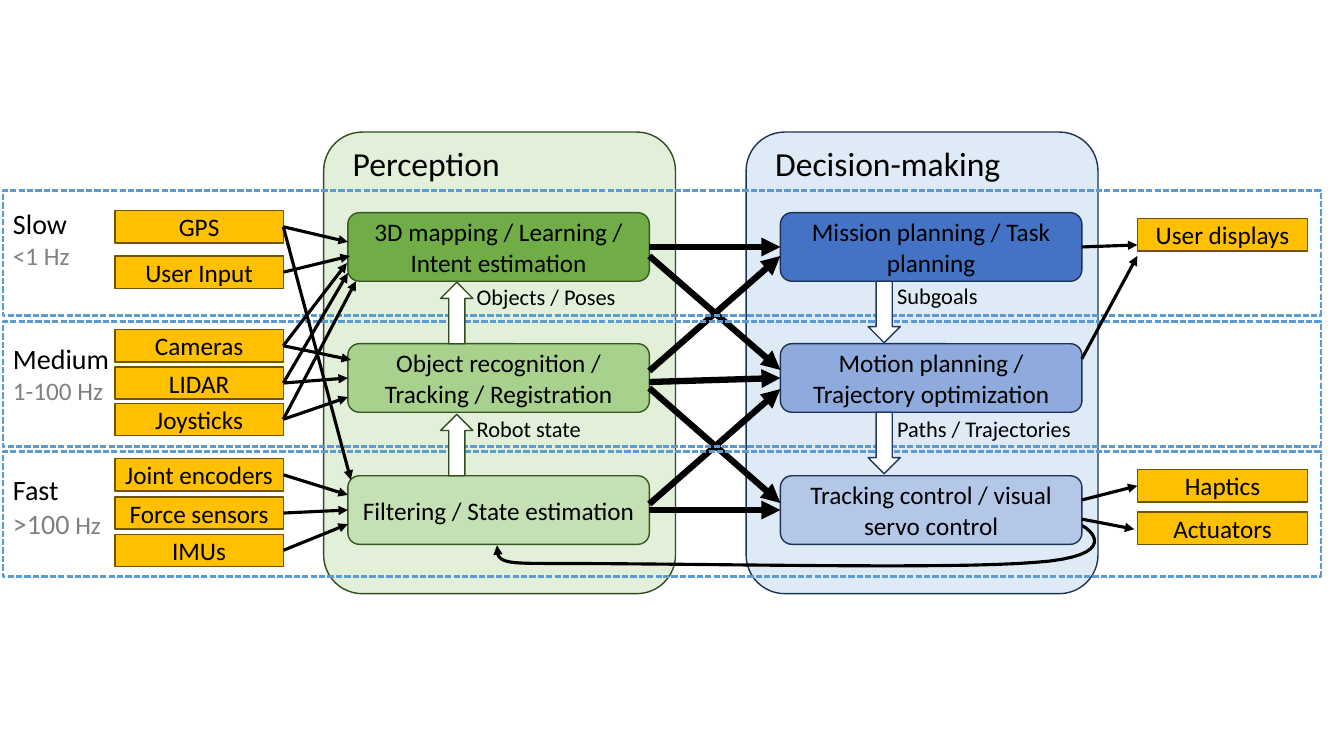
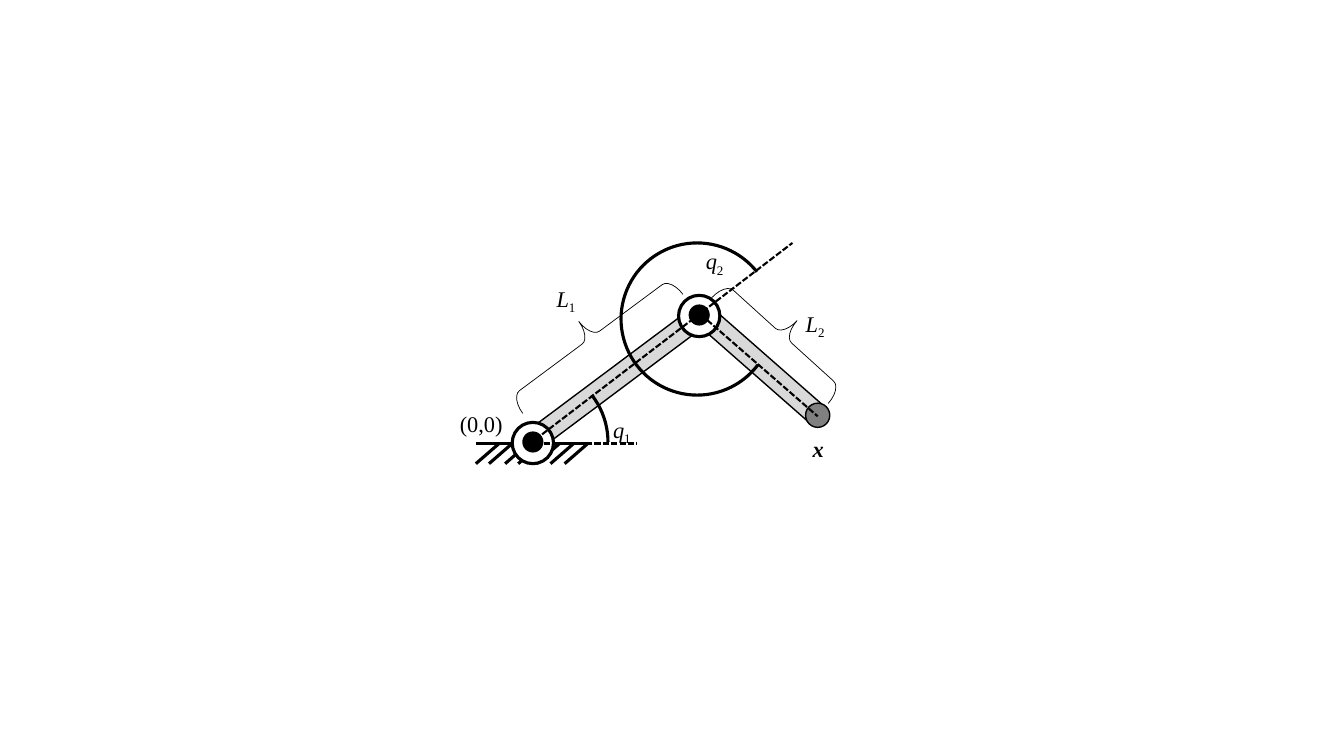
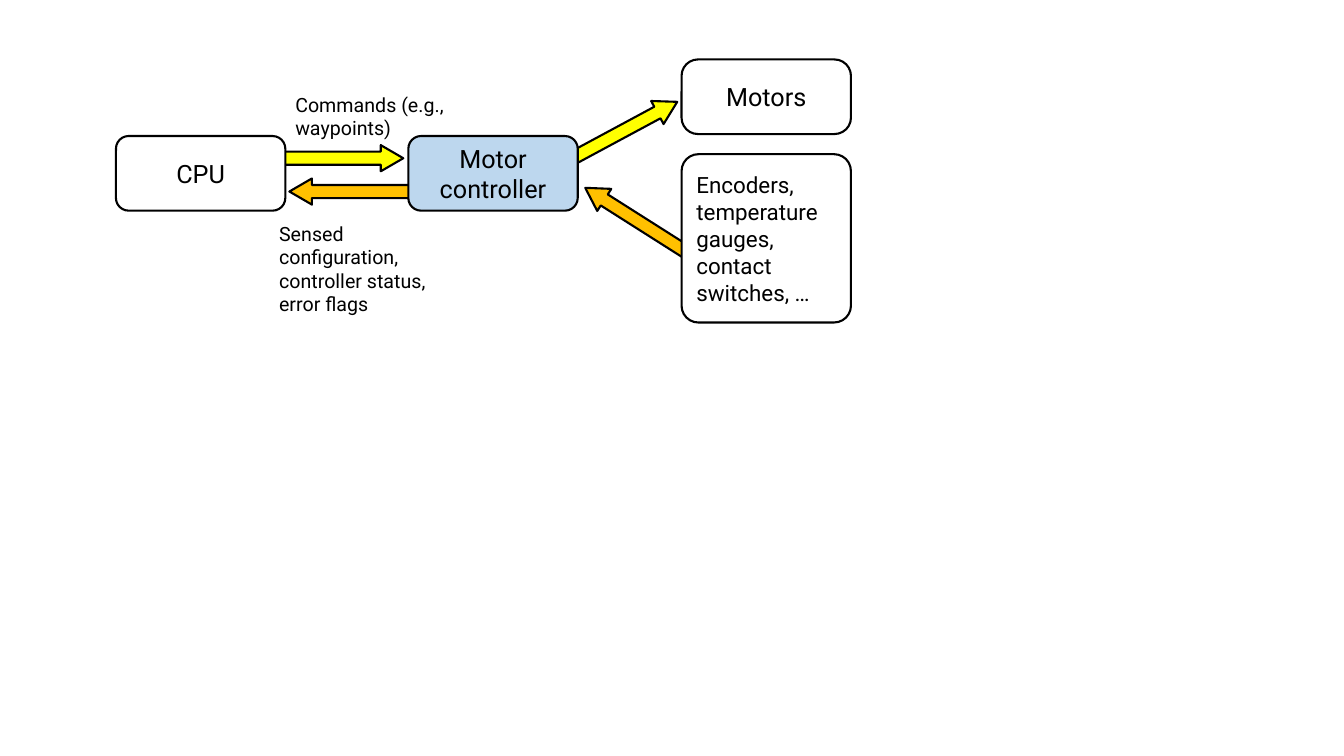
"""Build three robotics diagrams: system architecture, two-link arm and motor control."""
import dataclasses

import pptx
import pptx.dml.color
import pptx.enum.dml
import pptx.enum.shapes
import pptx.enum.text
import pptx.oxml
import pptx.oxml.ns
import pptx.util

Inches = pptx.util.Inches
Shape = pptx.enum.shapes.MSO_SHAPE
Align = pptx.enum.text.PP_ALIGN
Anchor = pptx.enum.text.MSO_ANCHOR
TOP, LEFT, BOTTOM, RIGHT = range(4)


@dataclasses.dataclass(frozen=True)
class Theme:
    black: str = "000000"
    white: str = "FFFFFF"
    grey: str = "808080"
    arm: str = "D9D9D9"
    green_panel: str = "E2F0D9"
    green_edge: str = "314C1F"
    green_box_edge: str = "385723"
    greens: tuple = ("70AD47", "A9D18E", "C5E0B4")
    blue_panel: str = "DEEBF7"
    blue_edge: str = "1E3256"
    blue_arrow_edge: str = "203864"
    blues: tuple = ("4472C4", "8FAADC", "B4C7E7")
    band: str = "5B9BD5"
    device: str = "FFC000"
    device_edge: str = "705400"
    command: str = "FFFF00"
    controller: str = "BDD7EE"
    heading: int = 24
    rate: int = 20
    body: int = 18
    note: int = 16
    caption: int = 14
    sans: str = "Calibri"
    serif: str = "Times New Roman"
    control: str = "Roboto"


THEME = Theme()


def rgb(code):
    """Turn a hex code into a colour."""
    return pptx.dml.color.RGBColor.from_string(code)


def stroke(line, colour=THEME.black, width=1, dashed=False):
    """Set the colour, width and dash of a line."""
    line.color.rgb = rgb(colour)
    line.width = pptx.util.Pt(width)
    if dashed:
        line.dash_style = pptx.enum.dml.MSO_LINE.SQUARE_DOT


def add_arrowhead(item):
    """Put a triangle at the end of a line."""
    tail = pptx.oxml.parse_xml(
        f'<a:tailEnd {pptx.oxml.ns.nsdecls("a")} type="triangle"/>')
    item.line._get_or_add_ln().append(tail)


def set_font(font, size, name, colour=THEME.black):
    """Set the size, face and colour of a font."""
    font.size = pptx.util.Pt(size)
    font.name = name
    font.color.rgb = rgb(colour)


def add_box(page, kind, at, fill=None, edge=THEME.black, width=1,
            dashed=False, turn=0, adjust=()):
    """Add a preset shape with plain fill and line."""
    box = page.shapes.add_shape(kind, *map(Inches, at))
    box.shadow.inherit = False
    box.rotation = turn
    for index, value in enumerate(adjust):
        box.adjustments[index] = value
    if fill:
        box.fill.solid()
        box.fill.fore_color.rgb = rgb(fill)
    else:
        box.fill.background()
    if edge:
        stroke(box.line, edge, width, dashed)
    else:
        box.line.fill.background()
    return box


def write(box, text, size=THEME.body, name=THEME.sans, align=Align.CENTER):
    """Write one middle-anchored paragraph in a shape."""
    frame = box.text_frame
    frame.word_wrap = True
    frame.vertical_anchor = Anchor.MIDDLE
    para = frame.paragraphs[0]
    para.text = text
    para.alignment = align
    set_font(para.font, size, name)


def add_text(page, at, text="", size=THEME.note, name=THEME.sans):
    """Add a wrapping text box and return its frame."""
    frame = page.shapes.add_textbox(*map(Inches, at)).text_frame
    frame.word_wrap = True
    para = frame.paragraphs[0]
    para.text = text
    set_font(para.font, size, name)
    return frame


def add_link(page, start, end, width=2.25, dashed=False, arrow=False):
    """Draw a straight line between points or (shape, side) pairs."""
    ends = [(0, 0) if hasattr(place[0], "shape_id") else place
            for place in (start, end)]
    link = page.shapes.add_connector(
        pptx.enum.shapes.MSO_CONNECTOR.STRAIGHT,
        *(Inches(value) for point in ends for value in point))
    for place, join in ((start, link.begin_connect), (end, link.end_connect)):
        if hasattr(place[0], "shape_id"):
            join(*place)
    stroke(link.line, width=width, dashed=dashed)
    if arrow:
        add_arrowhead(link)
    link._element.spPr.append(pptx.oxml.parse_xml(
        f'<a:effectLst {pptx.oxml.ns.nsdecls("a")}/>'))
    return link


def add_curve(page, start, curves, steps=16):
    """Draw an open run of cubic curves with an arrowhead."""
    points, origin = [], start
    for first, second, final in curves:
        for step in range(1, steps + 1):
            t = step / steps
            weights = ((1 - t) ** 3, 3 * t * (1 - t) ** 2, 3 * t * t * (1 - t), t ** 3)
            corners = (origin, first, second, final)
            points.append(tuple(
                Inches(sum(weight * corner[axis] for weight, corner in zip(weights, corners)))
                for axis in (0, 1)))
        origin = final
    builder = page.shapes.build_freeform(*map(Inches, start))
    builder.add_line_segments(points, close=False)
    curve = builder.convert_to_shape()
    curve.shadow.inherit = False
    curve.fill.background()
    stroke(curve.line, width=2.25)
    add_arrowhead(curve)


def add_stage_column(page, left, fills, edge, texts):
    """Add three stacked stage boxes, one for each rate."""
    boxes = []
    for top, fill, text in zip((2.11, 3.41, 4.72), fills, texts):
        box = add_box(page, Shape.ROUNDED_RECTANGLE, (left, top, 2.99, 0.68), fill, edge)
        write(box, text)
        boxes.append(box)
    return boxes


def add_devices(page, left, width, places):
    """Add a column of device boxes, keyed by their text."""
    devices = {}
    for text, top in places:
        box = add_box(page, Shape.RECTANGLE, (left, top, width, 0.32),
                      THEME.device, THEME.device_edge)
        write(box, text)
        devices[text] = box
    return devices


def add_rate_band(page, top, label_top, rate, spans):
    """Add a dashed rate band and its two-line label."""
    add_box(page, Shape.RECTANGLE, (0.03, top, 13.07, 1.24),
            edge=THEME.band, width=1.5, dashed=True)
    para = add_text(page, (0.03, label_top, 2.08, 0.74)).paragraphs[0]
    span = para.add_run()
    span.text = rate
    set_font(span.font, THEME.rate, THEME.sans)
    para.add_line_break()
    for text, size in spans:
        span = para.add_run()
        span.text = text
        set_font(span.font, size, THEME.sans, THEME.grey)


def build_architecture(page):
    """Draw the perception and decision-making architecture."""
    for left, fill, edge, title in (
            (3.21, THEME.green_panel, THEME.green_edge, "Perception"),
            (7.4, THEME.blue_panel, THEME.blue_edge, "Decision-making")):
        add_box(page, Shape.ROUNDED_RECTANGLE, (left, 1.31, 3.49, 4.58),
                fill, edge, adjust=(0.11,))
        add_text(page, (left + 0.19, 1.37, 2.63, 0.5), title, THEME.heading)

    add_curve(page, (10.7, 5.2), (
        ((10.82, 5.24), (11.14, 5.52), (10.26, 5.58)),
        ((9.38, 5.65), (7.04, 5.59), (5.43, 5.59)),
        ((4.99, 5.59), (4.92, 5.58), (4.93, 5.41))))

    mapping, recognition, filtering = add_stage_column(
        page, 3.45, THEME.greens, THEME.green_box_edge,
        ("3D mapping / Learning / Intent estimation",
         "Object recognition / Tracking / Registration",
         "Filtering / State estimation"))
    mission, motion, tracking = add_stage_column(
        page, 7.74, THEME.blues, THEME.blue_edge,
        ("Mission planning / Task planning",
         "Motion planning / Trajectory optimization",
         "Tracking control / visual servo control"))
    for start, end in (
            ((mapping, RIGHT), (mission, LEFT)),
            ((6.44, 2.54), (7.74, 3.67)),
            ((6.44, 3.79), (motion, LEFT)),
            ((6.44, 5), (7.74, 3.86)),
            ((filtering, RIGHT), (tracking, LEFT)),
            ((6.44, 3.85), (7.74, 4.99)),
            ((6.44, 3.68), (7.74, 2.54))):
        add_link(page, start, end, width=4.5, arrow=True)

    add_rate_band(page, 1.89, 2, "Slow", (("<1 Hz", THEME.body),))
    add_rate_band(page, 3.19, 3.34, "Medium", (("1-100 Hz", THEME.body),))
    add_rate_band(page, 4.48, 4.64, "Fast", ((">100", THEME.rate), (" Hz", THEME.body)))

    for left, top, turn, edge in (
            (8.61, 2.79, 0, THEME.blue_arrow_edge),
            (8.61, 4.09, 0, THEME.blue_arrow_edge),
            (4.37, 2.8, 180, THEME.green_edge),
            (4.37, 4.11, 180, THEME.green_edge)):
        add_box(page, Shape.DOWN_ARROW, (left, top, 0.32, 0.61),
                THEME.white, edge, turn=turn)
    for left, top, text in (
            (8.8, 2.75, "Subgoals"), (8.8, 4.07, "Paths / Trajectories"),
            (4.63, 2.76, "Objects / Poses"), (4.63, 4.07, "Robot state")):
        add_text(page, (left, top, 2.08, 0.37), text)

    outputs = add_devices(page, 11.28, 1.69, (
        ("User displays", 2.17), ("Haptics", 4.66), ("Actuators", 5.08)))
    inputs = add_devices(page, 1.14, 1.67, (
        ("GPS", 2.09), ("User Input", 2.54),
        ("Cameras", 3.27), ("LIDAR", 3.64), ("Joysticks", 4),
        ("Joint encoders", 4.55), ("Force sensors", 4.93), ("IMUs", 5.3)))
    for start, end in (
            ((mission, RIGHT), (11.28, 2.43)),
            ((10.73, 3.56), (11.28, 2.54)),
            ((10.73, 4.96), (outputs["Haptics"], LEFT)),
            ((10.73, 5.15), (11.25, 5.25))):
        add_link(page, start, end, arrow=True)
    for source, end in (
            ("GPS", (3.45, 2.4)), ("GPS", (3.48, 4.76)),
            ("User Input", (3.47, 2.54)),
            ("Cameras", (3.44, 2.61)), ("Cameras", (3.48, 3.57)),
            ("LIDAR", (3.45, 2.71)), ("LIDAR", (recognition, LEFT)),
            ("Joysticks", (3.53, 2.79)), ("Joysticks", (3.45, 3.94)),
            ("Joint encoders", (3.45, 4.91)),
            ("Force sensors", (filtering, LEFT)),
            ("IMUs", (3.45, 5.2))):
        add_link(page, (inputs[source], RIGHT), end, arrow=True)


def add_joint(page, left, top):
    """Add a ringed joint with a black pin."""
    add_box(page, Shape.OVAL, (left, top, 0.41, 0.41), THEME.white, width=2.25)
    add_box(page, Shape.OVAL, (left + 0.1, top + 0.09, 0.21, 0.21), THEME.black, edge=None)


def add_symbol(page, left, top, letter, subscript="", italic=True, bold=False):
    """Add a serif symbol with an optional subscript."""
    frame = add_text(page, (left, top, 0.75, 0.41), letter, THEME.note, THEME.serif)
    frame.margin_left = frame.margin_right = frame.margin_top = frame.margin_bottom = 0
    para = frame.paragraphs[0]
    para.line_spacing = 1.15
    para.space_after = pptx.util.Pt(10)
    para.runs[0].font.italic = italic
    para.runs[0].font.bold = bold
    if subscript:
        span = para.add_run()
        span.text = subscript
        span._r.get_or_add_rPr().set("baseline", "-25000")


def add_angle(page, left, top, start, end):
    """Add an angle arc between two bearings in degrees."""
    add_box(page, Shape.ARC, (left, top, 1.51, 1.51), width=2.25,
            adjust=(start * 0.6, end * 0.6))


def build_arm(page):
    """Draw the two-link arm with its angles and lengths."""
    add_link(page, (4.72, 4.4), (5.85, 4.4))
    for right in (4.95, 5.08, 5.24, 5.37, 5.55, 5.69, 5.83):
        add_link(page, (right, 4.4), (right - 0.23, 4.6))
    for at, turn in (((6.8, 3.51, 1.48, 0.22), 41.3), ((5.04, 3.66, 2.1, 0.22), 323.2)):
        add_box(page, Shape.RECTANGLE, at, THEME.arm, turn=turn)
    add_joint(page, 5.08, 4.19)
    add_joint(page, 6.73, 2.93)
    add_box(page, Shape.OVAL, (7.99, 4, 0.24, 0.24), THEME.grey)
    for at, turn in (((5.66, 2.36, 0.4, 1.98), 53.4), ((7.57, 2.55, 0.4, 1.56), 132.2)):
        add_box(page, Shape.LEFT_BRACE, at, width=0.5, turn=turn, adjust=(0.27, 0.5))
    add_angle(page, 4.52, 3.63, 321.9, 0)
    add_angle(page, 6.16, 2.41, 36.8, 321.75)
    for start, end in (((5.31, 4.36), (7.86, 2.41)),
                       ((6.95, 3.12), (8.11, 4.13)),
                       ((5.31, 4.4), (6.32, 4.4))):
        add_link(page, start, end, width=1.5, dashed=True)
    add_symbol(page, 4.56, 4.03, "(0,0)", italic=False)
    add_symbol(page, 5.52, 2.78, "L", "1")
    add_symbol(page, 7.99, 3.03, "L", "2")
    add_symbol(page, 6.08, 4.08, "q", "1")
    add_symbol(page, 7, 2.41, "q", "2")
    add_symbol(page, 8.06, 4.28, "x", bold=True)


def build_motor_control(page):
    """Draw the motor controller and its signals."""
    for left, top, turn, fill in (
            (5.71, 2.06, 212.4, THEME.device), (5.57, 1.17, 331.7, THEME.command),
            (2.78, 1.44, 0, THEME.command), (2.87, 1.77, 180, THEME.device)):
        add_box(page, Shape.RIGHT_ARROW, (left, top, 1.22, 0.26), fill,
                width=1.5, turn=turn, adjust=(0.5, 0.86))
    for left, top, height, fill, corner, text, size, align in (
            (6.76, 0.59, 0.74, THEME.white, 0.22, "Motors", THEME.body, Align.CENTER),
            (6.76, 1.53, 1.67, THEME.white, 0.1,
             "Encoders, temperature gauges, contact switches, …", THEME.note, Align.LEFT),
            (1.15, 1.35, 0.74, THEME.white, 0.17, "CPU", THEME.body, Align.CENTER),
            (4.05, 1.35, 0.74, THEME.controller, 0.17, "Motor controller",
             THEME.body, Align.CENTER)):
        box = add_box(page, Shape.ROUNDED_RECTANGLE, (left, top, 1.68, height), fill,
                      width=1.5, adjust=(corner,))
        write(box, text, size, THEME.control, align)
    add_text(page, (2.83, 0.87, 2.12, 0.57), "Commands (e.g., waypoints)",
             THEME.caption, THEME.control)
    add_text(page, (2.67, 2.15, 1.94, 1.04),
             "Sensed configuration, controller status, error flags",
             THEME.caption, THEME.control)


def main():
    """Build the deck and save it."""
    deck = pptx.Presentation()
    deck.slide_width, deck.slide_height = Inches(13.33), Inches(7.5)
    for build in (build_architecture, build_arm, build_motor_control):
        build(deck.slides.add_slide(deck.slide_layouts[6]))
    deck.save("out.pptx")


if __name__ == "__main__":
    main()
